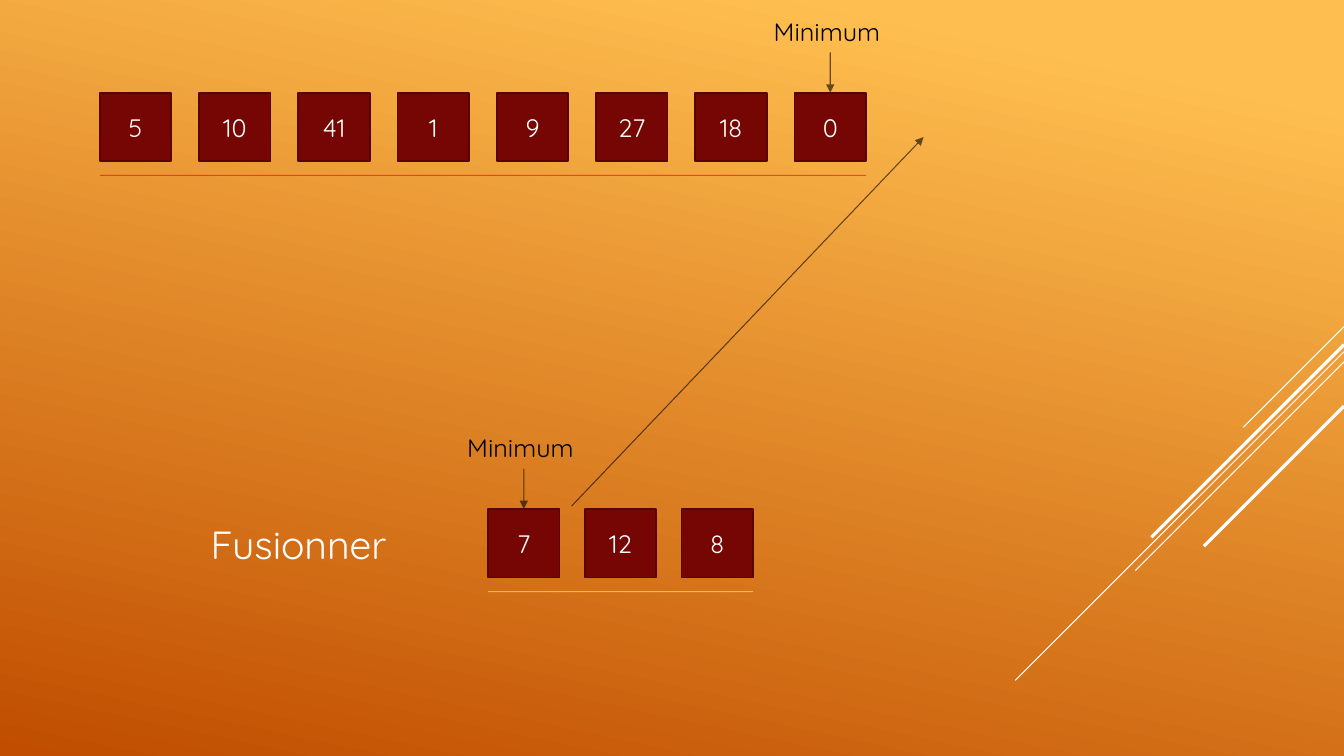
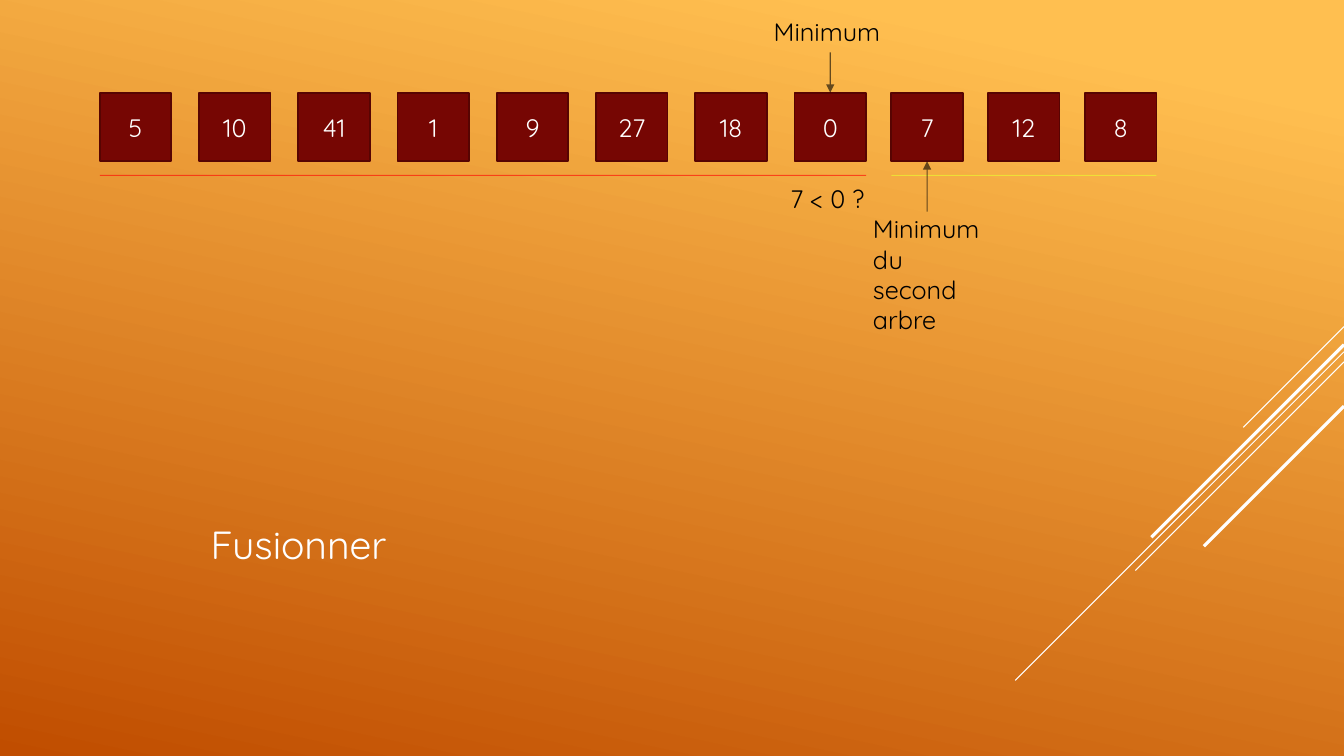
from pptx import Presentation
from pptx.util import Inches as In, Pt
from pptx.dml.color import RGBColor as RGB
from pptx.enum.shapes import MSO_SHAPE as SHAPE, MSO_CONNECTOR as LINK
from pptx.enum.text import PP_ALIGN as AL, MSO_ANCHOR as ANC
from pptx.oxml.ns import qn
from lxml.etree import SubElement

# Content
LONG = ["5", "10", "41", "1", "9", "27", "18", "0"]
SHORT = ["7", "12", "8"]
TITLE, LOW = "Fusionner", "Minimum"
TEST, NEXT = "7 < 0 ?", "Minimum\vdu second arbre"

# Look
FONT = "Quicksand"
WHITE, BLACK = RGB(255, 255, 255), RGB(0, 0, 0)
MAROON, EDGE = RGB(0x76, 0x06, 0x03), RGB(0x57, 0x04, 0x02)
RED, LIME = RGB(255, 0, 0), RGB(0xEA, 0xFF, 0x2E)
LIGHT, DARK = RGB(0xFF, 0xBF, 0x50), RGB(0xC0, 0x4D, 0x00)

# Grid: two rows of cells
WIDE, HIGH = 13.33, 7.5
CELL_W, CELL_H = 0.71, 0.68
LEFT, LAST, TOP = 0.99, 7.88, 0.92
STEP = (LAST - LEFT) / (len(LONG) - 1)
GAP = 0.96
LOW_X, LOW_Y = 4.84, 5.05
RULE = 0.82
# Diagonal strokes: start height on the right edge, run, weight
RAYS = [(3.24, 1.0, 0.75), (3.49, 3.26, 0.75), (3.59, 2.07, 0.75),
        (3.42, 1.91, 2.25), (4.03, 1.39, 2.25)]


def write(shape, text, size=18, color=BLACK, align=AL.LEFT,
          anchor=ANC.TOP, wrap=False):
    frame = shape.text_frame
    frame.word_wrap, frame.vertical_anchor = wrap, anchor
    par = frame.paragraphs[0]
    par.text, par.alignment = text, align
    for run in par.runs:
        run.font.name, run.font.size = FONT, Pt(size)
        run.font.color.rgb = color


def label(slide, text, x, y, w, h, **form):
    write(slide.shapes.add_textbox(In(x), In(y), In(w), In(h)), text, **form)


def line(slide, x1, y1, x2, y2, color=BLACK, weight=0.75, alpha=60,
         arrow=False):
    link = slide.shapes.add_connector(LINK.STRAIGHT, In(x1), In(y1),
                                      In(x2), In(y2))
    link.line.color.rgb, link.line.width = color, Pt(weight)
    props = link._element.spPr
    if alpha < 100:
        tint = next(props.iter(qn("a:srgbClr")))
        SubElement(tint, qn("a:alpha"), val=str(alpha * 1000))
    if arrow:
        SubElement(props.find(qn("a:ln")), qn("a:tailEnd"), type="triangle")
    SubElement(props, qn("a:effectLst"))


def row(slide, items, x, y, step, color):
    for i, item in enumerate(items):
        box = slide.shapes.add_shape(SHAPE.RECTANGLE, In(x + i * step), In(y),
                                     In(CELL_W), In(CELL_H))
        box.shadow.inherit = False
        box.fill.solid()
        box.fill.fore_color.rgb = MAROON
        box.line.color.rgb, box.line.width = EDGE, Pt(1.25)
        write(box, item, color=WHITE, align=AL.CENTER, anchor=ANC.MIDDLE,
              wrap=True)
    end = x + (len(items) - 1) * step + CELL_W
    line(slide, x, y + RULE, end, y + RULE, color)


def lowest(slide, x, y):
    mid = x + CELL_W / 2
    label(slide, LOW, mid - 0.66, y - 0.81, 1.32, 0.4)
    line(slide, mid, y - 0.4, mid, y, arrow=True)


def base(deck):
    slide = deck.slides.add_slide(deck.slide_layouts[6])
    for y, run, weight in RAYS:
        line(slide, WIDE, y, WIDE - run, y + run, WHITE, weight, 100)
    row(slide, LONG, LEFT, TOP, STEP, RED)
    lowest(slide, LAST, TOP)
    label(slide, TITLE, 1.99, 5.11, 1.97, 0.57, size=28, color=WHITE)
    return slide


deck = Presentation()
deck.slide_width, deck.slide_height = In(WIDE), In(HIGH)

# Shared background
fill = deck.slide_master.background.fill
fill.gradient()
fill.gradient_angle = 360 - 102
for stop, place, color in zip(fill.gradient_stops, (0.1, 1), (LIGHT, DARK)):
    stop.position, stop.color.rgb = place, color

# Slide 1: the short row waits below
one = base(deck)
row(one, SHORT, LOW_X, LOW_Y, GAP, LIME)
lowest(one, LOW_X, LOW_Y)
line(one, 5.67, 5.02, 9.16, 1.36, arrow=True)

# Slide 2: the short row joins the long one
two = base(deck)
join = LAST + GAP
row(two, SHORT, join, TOP, GAP, LIME)
label(two, TEST, 7.74, 1.77, 0.99, 0.4)
label(two, NEXT, 8.56, 2.07, 1.32, 1.31, wrap=True)
mid = join + CELL_W / 2
line(two, mid, 2.1, mid, TOP + CELL_H, arrow=True)

deck.save("out.pptx")
